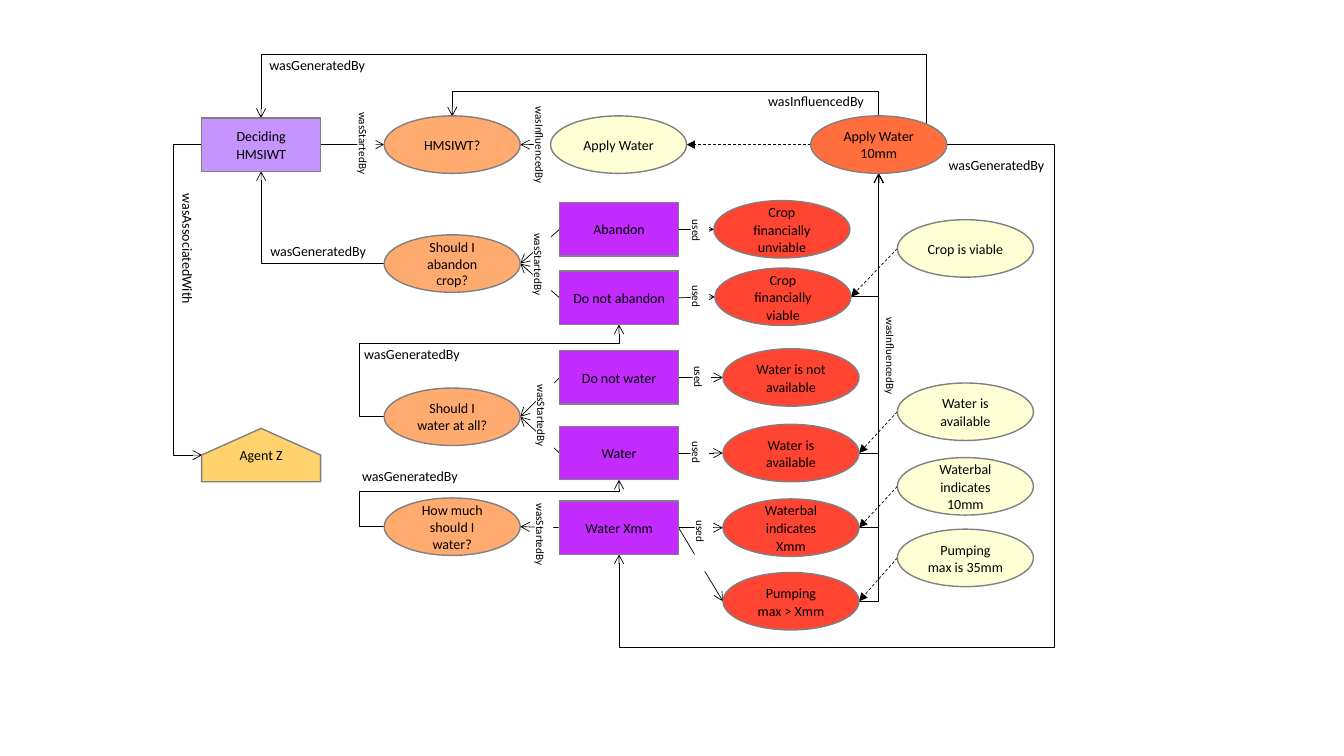
from lxml import etree
from pptx import Presentation
from pptx.dml.color import RGBColor
from pptx.enum.dml import MSO_LINE
from pptx.enum.shapes import MSO_CONNECTOR, MSO_SHAPE
from pptx.enum.text import MSO_ANCHOR, PP_ALIGN
from pptx.oxml.ns import qn
from pptx.util import Inches, Pt

RECT, OVAL = MSO_SHAPE.RECTANGLE, MSO_SHAPE.OVAL
LEFT, CENTER = PP_ALIGN.LEFT, PP_ALIGN.CENTER
TOP, MIDDLE = MSO_ANCHOR.TOP, MSO_ANCHOR.MIDDLE
ELBOW, STRAIGHT = MSO_CONNECTOR.ELBOW, MSO_CONNECTOR.STRAIGHT
DASH = MSO_LINE.DASH

THEME = {
    "font": "Calibri", "ink": "000000", "edge": "808080", "mask": "FFFFFF",
    "body": 10, "small": 8, "border": 1, "wire": 0.5,
}
BOX, EGG = (1.18, 0.53), (1.35, 0.57)
KINDS = {
    "decide": (RECT, BOX, "C495FF", True),
    "agent": (None, BOX, "FFD26D", False),
    "ask": (OVAL, EGG, "FFAA6F", False),
    "option": (RECT, BOX, "C42BFF", False),
    "fact": (OVAL, EGG, "FF4432", True),
    "premise": (OVAL, EGG, "FFFFD6", True),
    "action": (OVAL, EGG, "FFFFD6", False),
    "result": (OVAL, EGG, "FF6E3C", False),
}
COLS = {"decide": 2, "agent": 2, "ask": 3.81, "option": 5.55, "action": 5.46,
        "fact": 7.17, "result": 8.04, "premise": 8.9}
NODES = {
    "decide": ("decide", 1.17, "Deciding HMSIWT"),
    "agent": ("agent", 4.25, "Agent Z"),
    "main": ("ask", 1.15, "HMSIWT?"),
    "ask crop": ("ask", 2.33, "Should I abandon crop?"),
    "ask water": ("ask", 3.85, "Should I water at all?"),
    "ask much": ("ask", 4.94, "How much should I water?"),
    "apply": ("action", 1.15, "Apply Water"),
    "result": ("result", 1.15, "Apply Water 10mm"),
    "abandon": ("option", 2.01, "Abandon"),
    "keep": ("option", 2.69, "Do not abandon"),
    "dry": ("option", 3.48, "Do not water"),
    "water": ("option", 4.23, "Water"),
    "amount": ("option", 4.97, "Water Xmm"),
    "bad": ("fact", 1.99, "Crop financially unviable", -0.09),
    "good": ("fact", 2.66, "Crop financially viable", -0.08),
    "none": ("fact", 3.46, "Water is not available"),
    "some": ("fact", 4.21, "Water is available"),
    "level": ("fact", 4.95, "Waterbal indicates Xmm"),
    "pump": ("fact", 5.68, "Pumping max > Xmm"),
    "viable": ("premise", 2.18, "Crop is viable"),
    "supply": ("premise", 3.8, "Water is available"),
    "depth": ("premise", 4.54, "Waterbal indicates 10mm"),
    "limit": ("premise", 5.25, "Pumping max is 35mm"),
}
BENT = [
    ("ask crop", "left", "decide", "bottom", ()),
    ("ask water", "left", "keep", "bottom", (3.56, 3.41)),
    ("ask much", "left", "water", "bottom", (3.56, 4.88)),
    ("result", "top", "main", "top", (0.91,)),
    ("result", "corner", "decide", "top", (0.54,)),
    ("result", "right", "amount", "bottom", (10.46, 6.42)),
    ("decide", "left", "agent", "left", (1.72,)),
] + [(fact, "right", "result", "bottom", ()) for fact in ("good", "some", "level", "pump")]
STARTS = [("abandon", "ask crop"), ("keep", "ask crop"), ("dry", "ask water"),
          ("water", "ask water"), ("amount", "ask much"), ("apply", "main")]
USES = [("decide", "main"), ("abandon", "bad"), ("keep", "good"), ("dry", "none"),
        ("water", "some"), ("amount", "level"), ("amount", "pump")]
HINTS = [("viable", "good"), ("supply", "some"), ("depth", "level"),
         ("limit", "pump"), ("result", "apply")]

MADE, BEGAN, SWAYED = "wasGeneratedBy", "wasStartedBy", "wasInfluencedBy"
PLAIN = [
    (MADE, 3.58, 3.37, 1.01, CENTER), (MADE, 3.56, 4.58, 1.01, CENTER),
    (MADE, 2.65, 2.35, 1.01, CENTER), (MADE, 2.64, 0.5, 1.01, CENTER),
    (SWAYED, 7.52, 0.86, 1.08, LEFT), (MADE, 9.31, 1.49, 1.08, LEFT),
]
TURNED = [
    (BEGAN, 4.87, 2.53, 1.01), (BEGAN, 3.13, 1.33, 1.01), (SWAYED, 4.88, 1.35, 1.01),
    (SWAYED, 8.36, 3.44, 1.01), (BEGAN, 4.9, 4.03, 1.01), (BEGAN, 5.02, 5.21, 0.75),
    ("used", 6.58, 5.18, 0.8), ("used", 6.81, 4.4, 0.26), ("used", 6.83, 3.65, 0.26),
    ("used", 6.81, 2.85, 0.26), ("used", 6.81, 2.2, 0.26),
]
SPOTS = {"top": (0.5, 0), "left": (0, 0.5), "bottom": (0.5, 1), "right": (1, 0.5),
         "corner": (0.85, 0.15)}
SITES = {RECT: {"top": 0, "left": 1, "bottom": 2, "right": 3},
         OVAL: {"top": 0, "left": 2, "bottom": 4, "right": 6, "corner": 7}}
HOUSE = [(0.5, 0), (1, 0.5), (1, 1), (0, 1), (0, 0.5)]


def color(key):
    return RGBColor.from_string(THEME.get(key, key))


def write(shape, text, size="body", align=CENTER, anchor=MIDDLE, wrap=True, loose=True):
    frame = shape.text_frame
    frame.word_wrap, frame.vertical_anchor = wrap, anchor
    if not wrap:
        frame.margin_left = Inches(0.1 if align == LEFT else 0)
        frame.margin_right = 0
    para = frame.paragraphs[0]
    para.alignment = align
    if loose:
        para.line_spacing, para.space_after = 1.05, Pt(8)
    run = para.add_run()
    run.text = text
    run.font.name, run.font.size = THEME["font"], Pt(THEME[size])
    run.font.color.rgb = color("ink")


def draw_node(shapes, kind, top, text, shift=0):
    form, (wide, high), fill, loose = KINDS[kind]
    left = COLS[kind] + shift
    if form is None:
        points = [(Inches(left + x * wide), Inches(top + y * high)) for x, y in HOUSE]
        pen = shapes.build_freeform(*points[0])
        pen.add_line_segments(points[1:], close=True)
        node = pen.convert_to_shape()
    else:
        node = shapes.add_shape(form, Inches(left), Inches(top), Inches(wide), Inches(high))
    node.shadow.inherit = False
    node.fill.solid()
    node.fill.fore_color.rgb = color(fill)
    node.line.color.rgb, node.line.width = color("edge"), Pt(THEME["border"])
    write(node, text, loose=loose)
    return node


def find_spot(name, side):
    kind, top, _, *shift = NODES[name]
    wide, high = KINDS[kind][1]
    x, y = SPOTS[side]
    return COLS[kind] + sum(shift) + x * wide, top + y * high


def draw_link(shapes, nodes, start, out, end, into, bends=None, dash=False, head="arrow"):
    (x1, y1), (x2, y2) = find_spot(start, out), find_spot(end, into)
    span = [gap if abs(gap) > 0.01 else 0.01 for gap in (x2 - x1, y2 - y1)]
    turn = bends is not None and out not in ("left", "right")
    wide, high = (span[1], -span[0]) if turn else span
    mid, level = (x1 + x2) / 2, (y1 + y2) / 2
    ends = (mid - wide / 2, level - high / 2, mid + wide / 2, level + high / 2)
    if bends is None:
        ends = (x1, y1, x2, y2)
    link = shapes.add_connector(STRAIGHT if bends is None else ELBOW, *map(Inches, ends))
    props = link._element.spPr
    if bends is not None:
        if turn:
            props.find(qn("a:xfrm")).set("rot", "5400000")
        shape = props.find(qn("a:prstGeom"))
        shape.set("prst", f"bentConnector{len(bends) + 2}")
        guides = shape.find(qn("a:avLst"))
        for i, bend in enumerate(bends):
            axis = (i + turn) % 2
            share = (bend - (x1, y1)[axis]) / span[axis]
            etree.SubElement(guides, qn("a:gd"), name=f"adj{i + 1}",
                             fmla=f"val {round(share * 100000)}")
    link.line.color.rgb, link.line.width = color("ink"), Pt(THEME["wire"])
    if dash:
        link.line.dash_style = DASH
    etree.SubElement(link.line._ln, qn("a:tailEnd"), type=head)
    etree.SubElement(props, qn("a:effectLst"))
    glue = next(link._element.iter(qn("p:cNvCxnSpPr")))
    for tag, name, side in (("a:stCxn", start, out), ("a:endCxn", end, into)):
        form = KINDS[NODES[name][0]][0]
        if form is not None:
            etree.SubElement(glue, qn(tag), id=str(nodes[name].shape_id),
                             idx=str(SITES[form][side]))


def draw_label(shapes, text, left, top, wide, high, turn=0, mask=False, **style):
    place = [Inches(n) for n in (left, top, wide, high)]
    label = shapes.add_textbox(*place)
    label.rotation = turn
    if mask:
        label.fill.solid()
        label.fill.fore_color.rgb = color("mask")
    write(label, text, anchor=TOP, wrap=False, **style)


def main():
    deck = Presentation()
    deck.slide_width, deck.slide_height = Inches(13.33), Inches(7.5)
    shapes = deck.slides.add_slide(deck.slide_layouts[6]).shapes
    nodes = {name: draw_node(shapes, *spec) for name, spec in NODES.items()}
    for link in BENT:
        draw_link(shapes, nodes, *link)
    for start, end in STARTS:
        draw_link(shapes, nodes, start, "left", end, "right")
    for start, end in USES:
        draw_link(shapes, nodes, start, "right", end, "left")
    for start, end in HINTS:
        draw_link(shapes, nodes, start, "left", end, "right", dash=True, head="triangle")
    for text, left, top, wide, align in PLAIN:
        draw_label(shapes, text, left, top, wide, 0.28, align=align)
    draw_label(shapes, "wasAssociatedWith", 1.25, 2.29, 1.22, 0.29, turn=90, align=LEFT)
    for text, left, top, wide in TURNED:
        draw_label(shapes, text, left, top, wide, 0.18, turn=90, mask=True, size="small")
    for node in nodes.values():
        shapes._spTree.append(node._element)
    deck.save("out.pptx")


if __name__ == "__main__":
    main()
